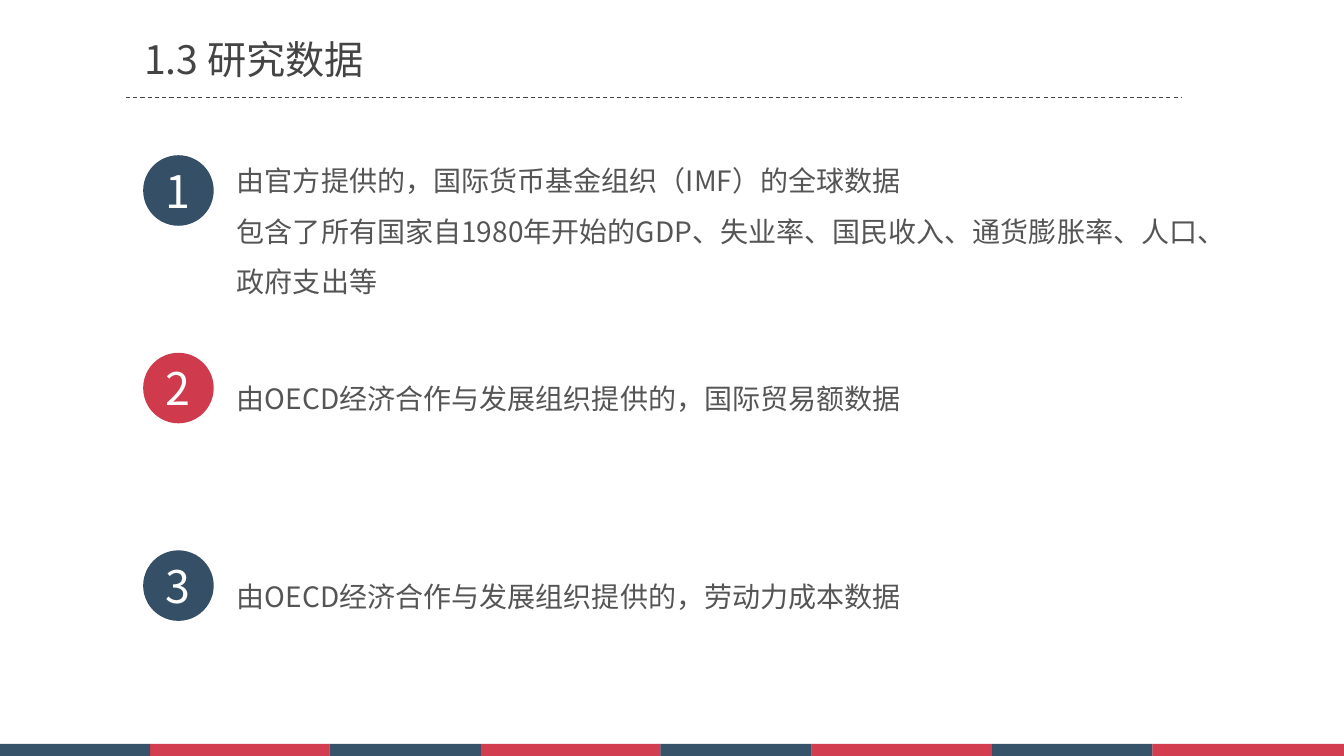
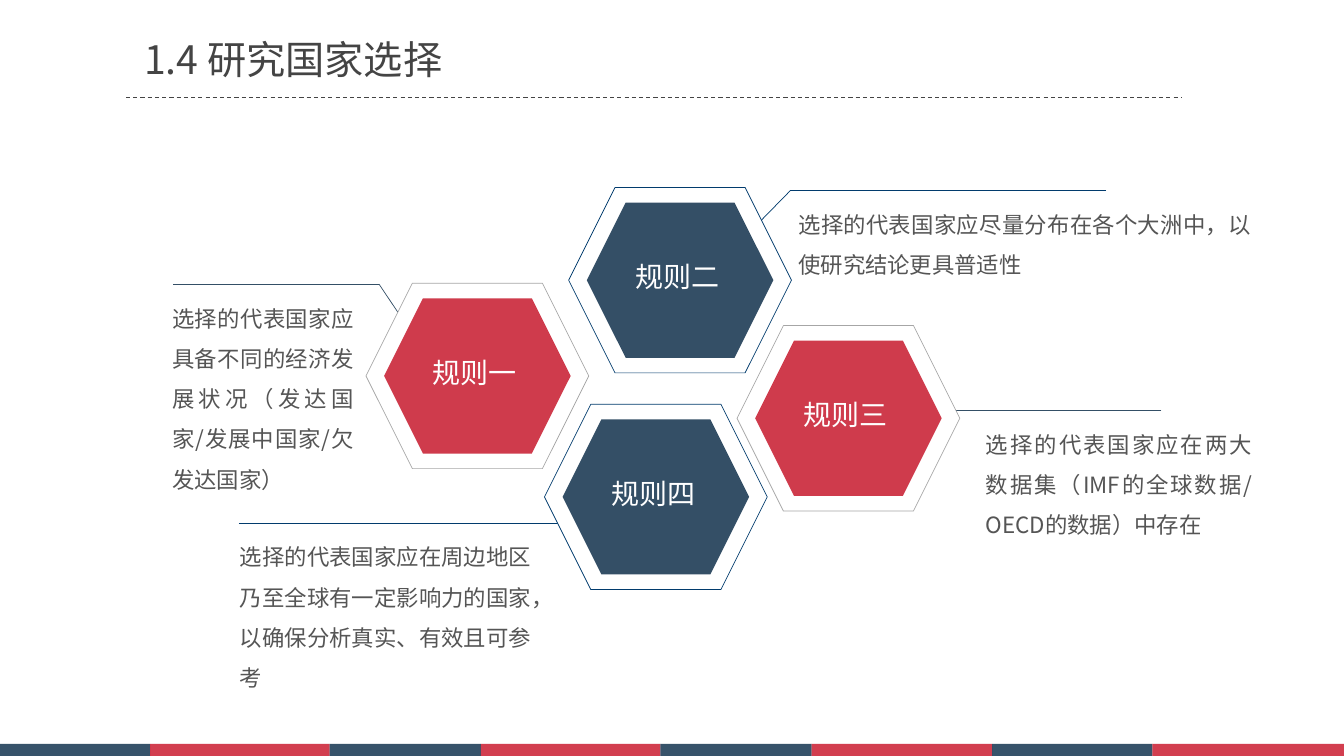
"""Build two research slides: data sources and the rules for choosing countries."""
from dataclasses import dataclass
from itertools import pairwise

from lxml.etree import SubElement
from pptx import Presentation
from pptx.dml.color import RGBColor
from pptx.enum.dml import MSO_LINE
from pptx.enum.shapes import MSO_CONNECTOR, MSO_SHAPE
from pptx.enum.text import MSO_ANCHOR, MSO_AUTO_SIZE, PP_ALIGN
from pptx.oxml.ns import qn
from pptx.util import Inches, Pt


@dataclass(frozen=True)
class Theme:
    font: str = "Noto Sans CJK SC"
    navy: str = "344F66"
    red: str = "CF3B4C"
    band_navy: str = "062845"
    band_red: str = "C70E23"
    outline_navy: str = "013B6D"
    outline_gray: str = "A6A6A6"
    title: str = "444444"
    body: str = "555555"
    white: str = "FFFFFF"
    title_size: int = 28
    number_size: int = 32
    body_size: int = 20
    rule_size: int = 16


THEME = Theme()
WIDTH, HEIGHT = 13.33, 7.5
TITLE_BOX = (1.43, 0.35, 3.99, 0.47)
TITLE_RULE = ((1.25, 0.97), (11.72, 0.97))
BAND_EDGES = (0, 1.49, 3.27, 4.77, 6.55, 8.05, 9.84, 11.43, WIDTH)
BAND_HEIGHT = 0.12
BAND_ALPHA = 80

DATA_TITLE = "1.3 研究数据"
DATA_SOURCES = [
    ["由官方提供的，国际货币基金组织（IMF）的全球数据",
     "包含了所有国家自1980年开始的GDP、失业率、国民收入、通货膨胀率、人口、政府支出等"],
    ["由OECD经济合作与发展组织提供的，国际贸易额数据"],
    ["由OECD经济合作与发展组织提供的，劳动力成本数据"],
]
CIRCLE_LEFT, CIRCLE_TOP, CIRCLE_SIZE, ROW_STEP = 1.42, 1.54, 0.7, 1.96
SOURCE_LEFT, SOURCE_WIDTH, LINE_HEIGHT = 2.35, 10.06, 0.5

RULES_TITLE = "1.4 研究国家选择"
HEXAGON = (2.21, 1.84)
HEXAGON_INSET = (0.18, 0.15)
RULES = [
    dict(label="规则二", corner=(5.64, 1.86), fill=THEME.navy, outline=THEME.outline_navy,
         leader=[(10.97, 1.89), (7.84, 1.89), (7.35, 2.39)], leader_color=THEME.outline_navy,
         box=(7.82, 1.91, 4.69, 0.91),
         text="选择的代表国家应尽量分布在各个大洲中，以使研究结论更具普适性"),
    dict(label="规则一", corner=(3.63, 2.81), fill=THEME.red, outline=THEME.outline_gray,
         leader=[(1.72, 2.82), (3.76, 2.82), (4.39, 3.76)], leader_color=THEME.navy,
         box=(1.61, 2.84, 2, 2.12),
         text="选择的代表国家应具备不同的经济发展状况（发达国家/发展中国家/欠发达国家）"),
    dict(label="规则四", corner=(5.4, 4.01), fill=THEME.navy, outline=THEME.outline_navy,
         leader=[(2.37, 5.19), (5.84, 5.19)], leader_color=THEME.outline_navy,
         box=(2.28, 5.21, 3.09, 1.72),
         text="选择的代表国家应在周边地区乃至全球有一定影响力的国家，以确保分析真实、有效且可参考"),
    dict(label="规则三", corner=(7.31, 3.23), fill=THEME.red, outline=THEME.outline_gray,
         leader=[(11.52, 4.07), (9.19, 4.07)], leader_color=THEME.navy,
         box=(9.68, 4.09, 2.84, 1.31),
         text="选择的代表国家应在两大数据集（IMF的全球数据/OECD的数据）中存在"),
]


def write(frame, paragraphs, *, size, color, align=PP_ALIGN.LEFT, spacing=None,
          anchor=MSO_ANCHOR.TOP, margins=None, wrap=True, grow=False):
    """Fill a text frame with formatted paragraphs."""
    frame.word_wrap = wrap
    frame.vertical_anchor = anchor
    frame.auto_size = MSO_AUTO_SIZE.SHAPE_TO_FIT_TEXT if grow else MSO_AUTO_SIZE.NONE
    if margins is not None:
        (frame.margin_left, frame.margin_top,
         frame.margin_right, frame.margin_bottom) = map(Inches, margins)
    for index, text in enumerate(paragraphs):
        paragraph = frame.paragraphs[0] if index == 0 else frame.add_paragraph()
        paragraph.alignment = align
        paragraph.line_spacing = spacing
        run = paragraph.add_run()
        run.text = text
        run.font.size = Pt(size)
        run.font.color.rgb = RGBColor.from_string(color)
        run.font.name = THEME.font
        SubElement(run.font._element, qn("a:ea"), typeface=THEME.font)


def add_text(slide, box, paragraphs, **text_format):
    """Add a text box that grows with its text."""
    text_box = slide.shapes.add_textbox(*map(Inches, box))
    write(text_box.text_frame, paragraphs, grow=True, **text_format)


def add_shape(slide, preset, box, fill, outline=None):
    """Add a flat preset shape."""
    shape = slide.shapes.add_shape(preset, *map(Inches, box))
    shape.shadow.inherit = False
    shape.fill.solid()
    shape.fill.fore_color.rgb = RGBColor.from_string(fill)
    if outline:
        shape.line.color.rgb = RGBColor.from_string(outline)
        shape.line.width = Pt(0.5)
    else:
        shape.line.fill.background()
    return shape


def add_line(slide, start, end, color, width=0.5):
    """Add a straight connector without a shadow."""
    line = slide.shapes.add_connector(MSO_CONNECTOR.STRAIGHT, *map(Inches, start + end))
    line.line.color.rgb = RGBColor.from_string(color)
    line.line.width = Pt(width)
    SubElement(line.element.spPr, qn("a:effectLst"))
    return line


def decorate_layout(layout, slide):
    """Draw the footer band and title rule, then move them to the shared layout."""
    decorations = []
    for index, (left, right) in enumerate(pairwise(BAND_EDGES)):
        color = (THEME.band_navy, THEME.band_red)[index % 2]
        band = add_shape(slide, MSO_SHAPE.RECTANGLE,
                         (left, HEIGHT - BAND_HEIGHT, right - left, BAND_HEIGHT), color)
        color_element = band.element.spPr.find(".//" + qn("a:srgbClr"))
        SubElement(color_element, qn("a:alpha"), val=str(BAND_ALPHA * 1000))
        decorations.append(band)
    rule = add_line(slide, *TITLE_RULE, THEME.title, width=0.75)
    rule.line.dash_style = MSO_LINE.DASH
    decorations.append(rule)
    first_id = 1 + max(shape.shape_id for shape in layout.shapes)
    for shape_id, shape in enumerate(decorations, first_id):
        shape.element.find(".//" + qn("p:cNvPr")).set("id", str(shape_id))
        layout.shapes.element.append(shape.element)


def add_slide(presentation, layout, title):
    """Add a slide and format its title placeholder."""
    slide = presentation.slides.add_slide(layout)
    placeholder = slide.shapes.title
    (placeholder.left, placeholder.top,
     placeholder.width, placeholder.height) = map(Inches, TITLE_BOX)
    write(placeholder.text_frame, [title], size=THEME.title_size, color=THEME.title,
          margins=(0, 0, 0, 0), grow=True)
    return slide


def fill_data_slide(slide):
    """Place numbered circles beside the data sources."""
    for index, paragraphs in enumerate(DATA_SOURCES):
        top = CIRCLE_TOP + index * ROW_STEP
        text_top = top + (0.12 if len(paragraphs) == 1 else -0.08)
        add_text(slide, (SOURCE_LEFT, text_top, SOURCE_WIDTH, LINE_HEIGHT), paragraphs,
                 size=THEME.body_size, color=THEME.body, spacing=1.5, margins=(0, 0, 0, 0))
        circle = add_shape(slide, MSO_SHAPE.OVAL, (CIRCLE_LEFT, top, CIRCLE_SIZE, CIRCLE_SIZE),
                           (THEME.navy, THEME.red)[index % 2])
        write(circle.text_frame, [str(index + 1)], size=THEME.number_size, color=THEME.white,
              align=PP_ALIGN.CENTER, anchor=MSO_ANCHOR.MIDDLE)


def fill_rules_slide(slide):
    """Place leader lines, framed hexagons and the rule texts."""
    for rule in RULES:
        for start, end in pairwise(rule["leader"]):
            add_line(slide, start, end, rule["leader_color"])
    inner_size = tuple(size - 2 * inset for size, inset in zip(HEXAGON, HEXAGON_INSET))
    for rule in RULES:
        inner_corner = tuple(edge + inset for edge, inset in zip(rule["corner"], HEXAGON_INSET))
        add_shape(slide, MSO_SHAPE.HEXAGON, rule["corner"] + HEXAGON, THEME.white,
                  rule["outline"])
        hexagon = add_shape(slide, MSO_SHAPE.HEXAGON, inner_corner + inner_size, rule["fill"])
        write(hexagon.text_frame, [rule["label"]], size=THEME.body_size, color=THEME.white,
              align=PP_ALIGN.CENTER, anchor=MSO_ANCHOR.MIDDLE,
              margins=(0, 0, 0.05, 0.08), wrap=False)
        add_text(slide, rule["box"], [rule["text"]], size=THEME.rule_size, color=THEME.body,
                 align=PP_ALIGN.JUSTIFY, spacing=1.5)


def main():
    """Build and save the presentation."""
    presentation = Presentation()
    presentation.slide_width, presentation.slide_height = Inches(WIDTH), Inches(HEIGHT)
    layout = presentation.slide_layouts.get_by_name("Title Only")
    data_slide = add_slide(presentation, layout, DATA_TITLE)
    decorate_layout(layout, data_slide)
    fill_data_slide(data_slide)
    fill_rules_slide(add_slide(presentation, layout, RULES_TITLE))
    presentation.save("out.pptx")


if __name__ == "__main__":
    main()
